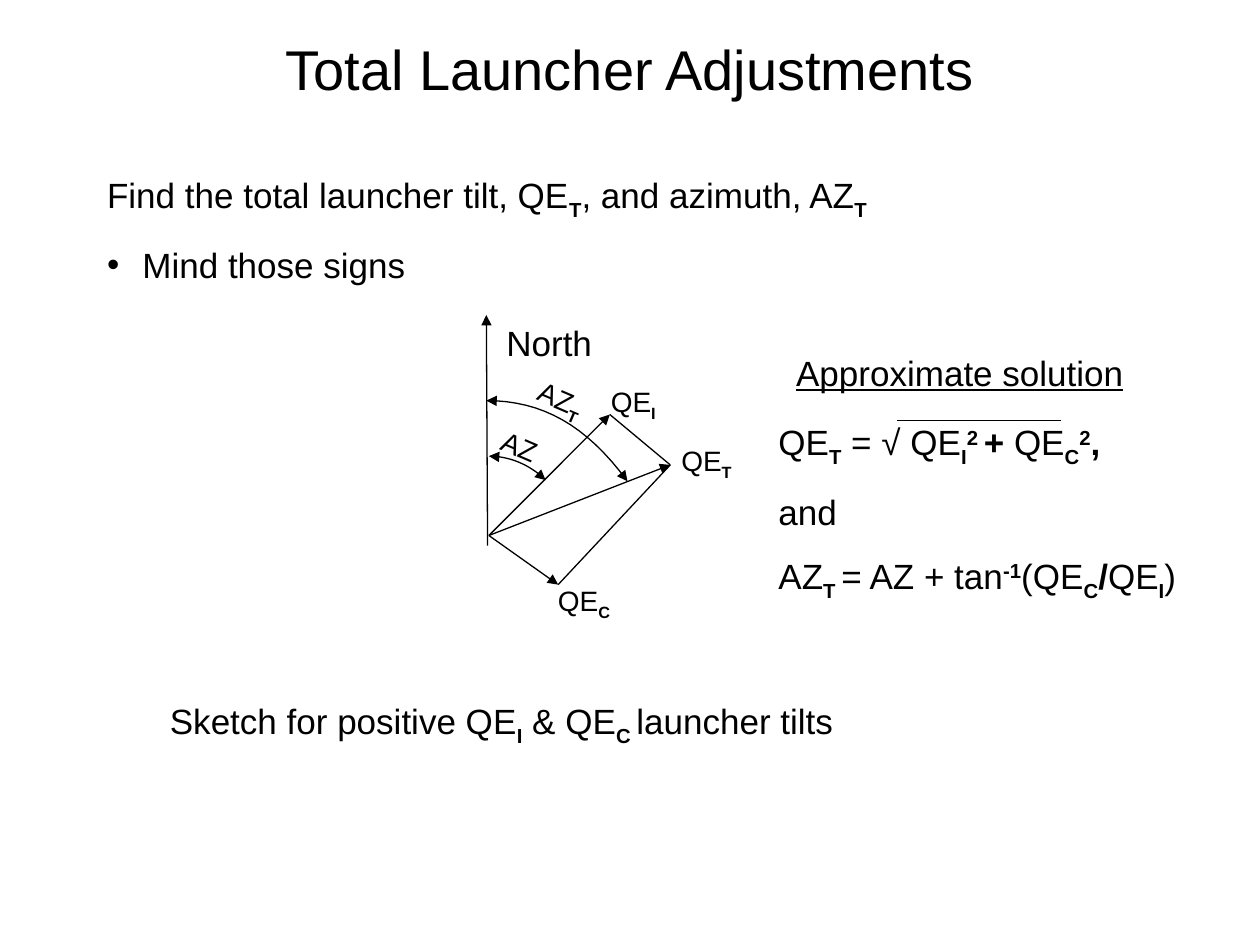
"""Build the slide on total launcher adjustments."""
from lxml.etree import SubElement
from pptx import Presentation
from pptx.dml.color import RGBColor
from pptx.enum.shapes import MSO_CONNECTOR
from pptx.enum.text import MSO_ANCHOR, MSO_AUTO_SIZE, PP_ALIGN
from pptx.oxml.ns import qn
from pptx.util import Emu, Inches, Pt

BLACK = RGBColor(0x00, 0x00, 0x00)
FONT = "Arial"
BASELINES = {"sub": -25000, "sup": 30000}
INSETS = {"margin_left": 0.1, "margin_right": 0.1, "margin_top": 0.05, "margin_bottom": 0.05}

TITLE = [["Total Launcher Adjustments"]]
TASK = [
    ["Find the total launcher tilt, QE", ("T", "sub"), ", and azimuth, AZ", ("T", "sub")],
    ["Mind those signs"],
]
SOLUTION = [
    ["QE", ("T", "sub"), " = √ QE", ("I", "sub"), ("2 ", "sup"), ("+ ", "bold"),
     "QE", ("C", "sub"), ("2", "sup"), (",", "bold")],
    ["and"],
    ["AZ", ("T ", "sub"), "= AZ + tan", ("-1", "sup"), "(QE", ("C", "sub"),
     ("/", "bold"), "QE", ("I", "sub"), ")"],
]
SKETCH = [["Sketch for positive QE", ("I", "sub"), " & QE", ("C ", "sub"), "launcher tilts"]]

# box, paragraphs, size, rotation
TEXTS = [
    ((4.75, 3, 0.67, 0.41), [["QE", ("I", "sub")]], 16, 0),
    ((4.33, 4.58, 1.17, 0.41), [["QE", ("C", "sub")]], 16, 0),
    ((5.31, 3.47, 0.67, 0.41), [["QE", ("T", "sub")]], 16, 0),
    ((3.88, 3.38, 0.58, 0.37), [["AZ"]], 16, 23.2),
    ((4.16, 3, 0.67, 0.41), [["AZ", ("T", "sub")]], 16, 23.2),
    ((3.92, 2.5, 1.08, 0.44), [["North"]], 20, 0),
    ((6.08, 3.29, 3.67, 1.54), SOLUTION, 20, 0),
    ((6.22, 2.74, 2.86, 0.44), [[("Approximate solution", "underline")]], 20, 0),
    ((1.25, 5.5, 6, 0.48), SKETCH, 20, 0),
]

ORIGIN, QE_I, QE_C, QE_T = (3.88, 4.25), (4.84, 3.29), (4.43, 4.64), (5.32, 3.69)
LINES = [
    (ORIGIN, QE_C, True),
    (QE_C, QE_T, False),
    (QE_T, QE_I, False),
    (ORIGIN, QE_I, True),
    (ORIGIN, QE_T, True),
    ((3.87, 4.33), (3.86, 2.5), True),
    ((7.12, 3.34), (8.42, 3.34), False),
]
ARCS = [
    ((3.88, 3.62), (4.03, 3.62), (4.2, 3.68), (4.33, 3.81)),
    ((3.86, 3.18), (4.3, 3.18), (4.65, 3.37), (4.98, 3.82)),
]
ARC_STEPS = 16


def place(s, box):
    s.left, s.top, s.width, s.height = map(Inches, box)


def write(s, paragraphs, size, anchor=MSO_ANCHOR.TOP, align=PP_ALIGN.LEFT):
    tf = s.text_frame
    tf.word_wrap, tf.auto_size, tf.vertical_anchor = True, MSO_AUTO_SIZE.NONE, anchor
    for name, inset in INSETS.items():
        setattr(tf, name, Inches(inset))
    for i, runs in enumerate(paragraphs):
        p = tf.add_paragraph() if i else tf.paragraphs[0]
        p.alignment = align
        p.space_before = Pt(12.5 if i else 0)
        for run in runs:
            text, kind = (run, "") if isinstance(run, str) else run
            r = p.add_run()
            r.text = text
            values = {"name": FONT, "size": Pt(size), "underline": kind == "underline",
                      "bold": kind in ("sub", "sup", "bold")}
            for name, value in values.items():
                setattr(r.font, name, value)
            r.font.color.rgb = BLACK
            if kind in BASELINES:
                r._r.get_or_add_rPr().set("baseline", str(BASELINES[kind]))
    return tf


def set_bullet(p, char, indent):
    pPr = p._p.get_or_add_pPr()
    pPr.set("marL", str(Inches(indent)))
    pPr.set("indent", str(-Inches(indent)))
    if char:
        SubElement(pPr, qn("a:buChar")).set("char", char)
    else:
        SubElement(pPr, qn("a:buNone"))


def style_line(s, ends):
    s.line.color.rgb = BLACK
    s.line.width = Pt(0.75)
    for end in ends:
        SubElement(s.line._get_or_add_ln(), qn(f"a:{end}")).set("type", "triangle")


def cubic(points, t):
    weights = ((1 - t) ** 3, 3 * t * (1 - t) ** 2, 3 * t * t * (1 - t), t ** 3)
    return tuple(Inches(sum(w * pt[axis] for w, pt in zip(weights, points))) for axis in (0, 1))


def main():
    prs = Presentation()
    prs.slide_width, prs.slide_height = Inches(10), Inches(7.5)
    slide = prs.slides.add_slide(prs.slide_layouts[1])
    shapes = slide.shapes

    place(shapes.title, (0.5, 0.08, 9, 0.92))
    write(shapes.title, TITLE, 32, MSO_ANCHOR.MIDDLE, PP_ALIGN.CENTER)
    body = slide.placeholders[1]
    place(body, (0.75, 1.33, 6.58, 1.03))
    tf = write(body, TASK, 20)
    for p, char, indent in zip(tf.paragraphs, ("", "•"), (0, 0.28)):
        set_bullet(p, char, indent)

    for start, end, arrow in LINES:
        s = shapes.add_connector(MSO_CONNECTOR.STRAIGHT, *map(Inches, start + end))
        style_line(s, ["tailEnd"] if arrow else [])
        SubElement(s._element.spPr, qn("a:effectLst"))

    for points in ARCS:
        first, *rest = [cubic(points, i / ARC_STEPS) for i in range(ARC_STEPS + 1)]
        builder = shapes.build_freeform(*first, scale=Emu(1))
        builder.add_line_segments(rest, close=False)
        s = builder.convert_to_shape()
        s.shadow.inherit = False
        s.fill.background()
        style_line(s, ["headEnd", "tailEnd"])

    for box, paragraphs, size, rotation in TEXTS:
        s = shapes.add_textbox(*map(Inches, box))
        s.rotation = rotation
        write(s, paragraphs, size)

    prs.save("out.pptx")


if __name__ == "__main__":
    main()
